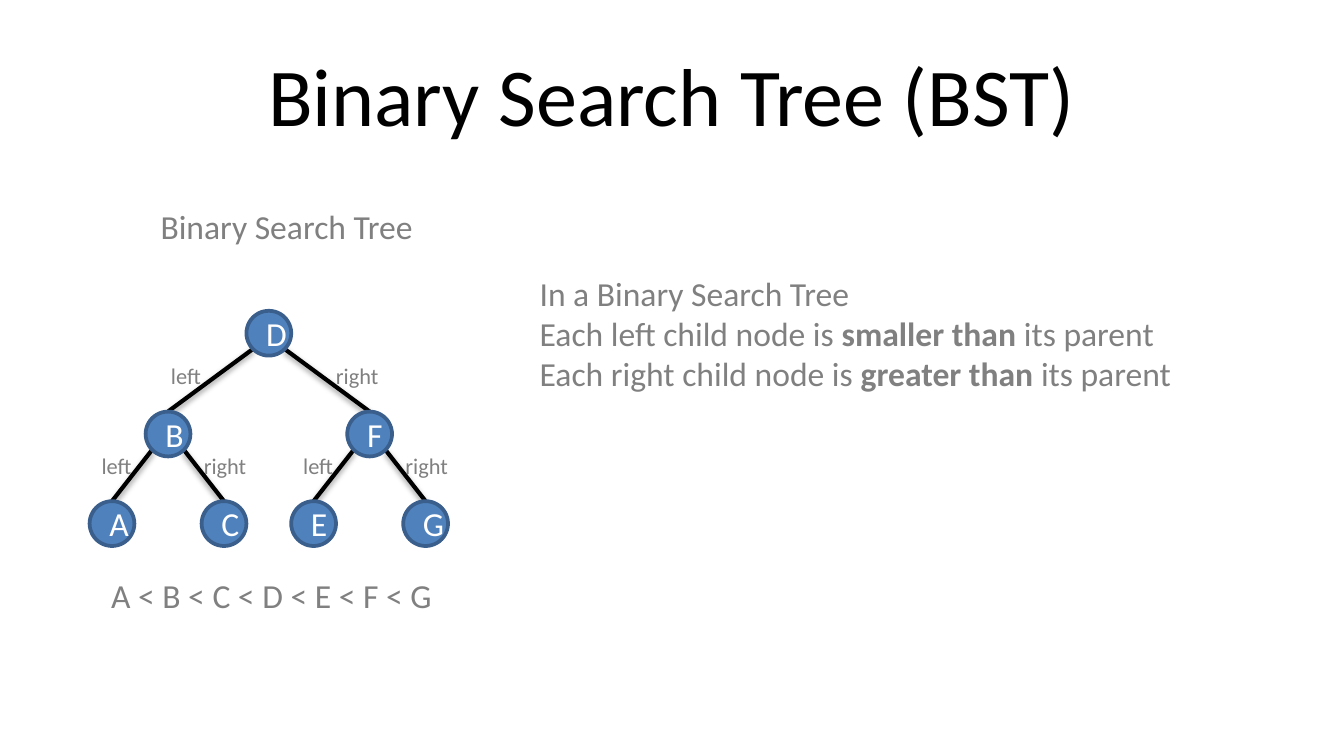
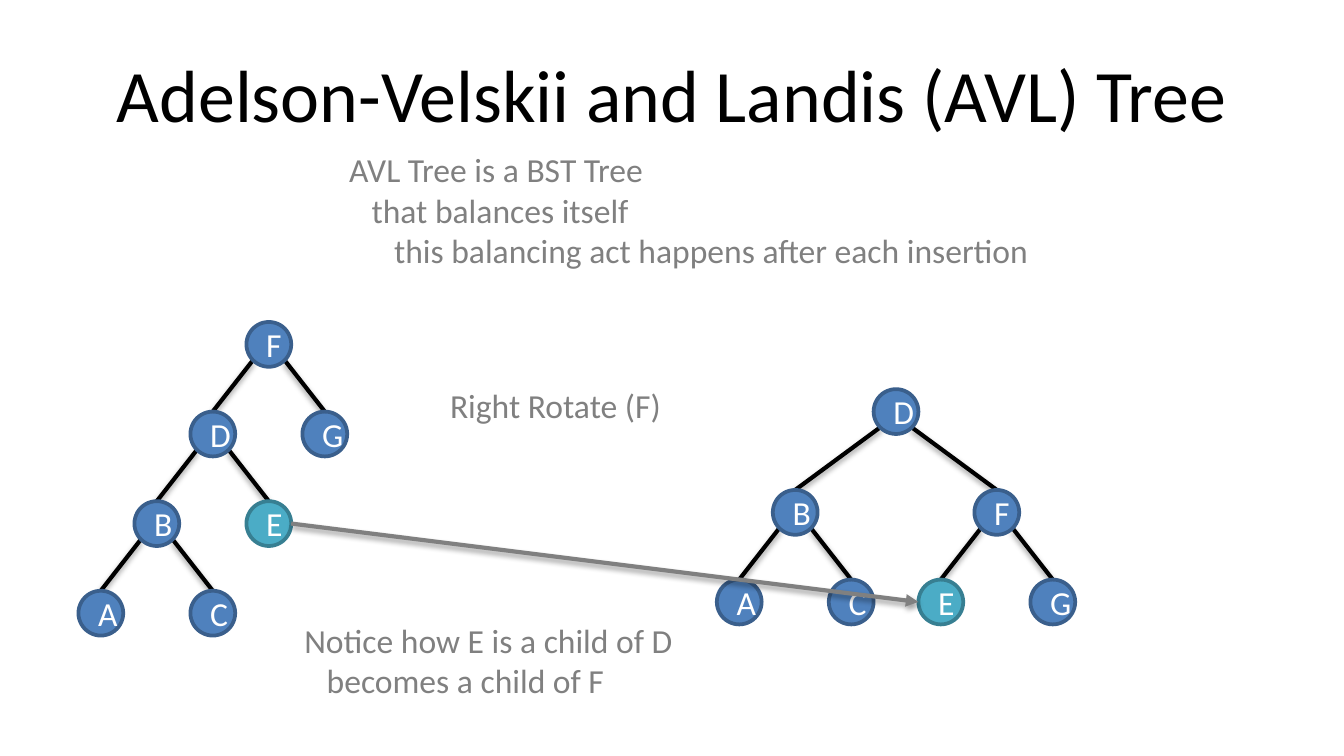
"""Build two slides on binary search trees and AVL trees."""
import lxml.etree
import pptx
import pptx.dml.color
import pptx.enum.shapes
import pptx.enum.text
import pptx.oxml
import pptx.oxml.ns
import pptx.util

COLUMNS, ROWS = 120, 67.5
CELL = pptx.util.Inches(10) / COLUMNS
POINTS_PER_CELL = 6
NODE = 4
DIAGONAL = 1.41
WIDE, NARROW = (9, 9), (5, 8)
FONT = "Calibri"
COLORS = {
    "title": "000000", "edge": "000000", "note": "808080", "letter": "FFFFFF",
    "node": "4F81BD", "node_line": "3A5F8C",
    "moved": "4BACC6", "moved_line": "377F92",
}
SHADOW = (
    '<a:effectLst xmlns:a="http://schemas.openxmlformats.org/drawingml/2006/main">'
    '<a:outerShdw blurRad="40000" dist="20000" dir="5400000" rotWithShape="0">'
    '<a:srgbClr val="000000"><a:alpha val="38000"/></a:srgbClr>'
    "</a:outerShdw></a:effectLst>"
)
ALIGN = pptx.enum.text.PP_ALIGN
BALANCED = {"D": ("B", "F", WIDE), "B": ("A", "C", NARROW), "F": ("E", "G", NARROW)}
LEANING = {"F": ("D", "G", NARROW), "D": ("B", "E", NARROW), "B": ("A", "C", NARROW)}


def cells(count):
    """Turn a count of grid cells into a length."""
    return pptx.util.Emu(round(count * CELL))


def color(name):
    """Look up a named colour."""
    return pptx.dml.color.RGBColor.from_string(COLORS[name])


class TreeDeck:
    """Hold the style and the current slide, and draw each kind of element."""

    def __init__(self):
        """Start an empty presentation on the grid."""
        self.presentation = pptx.Presentation()
        self.presentation.slide_width = cells(COLUMNS)
        self.presentation.slide_height = cells(ROWS)
        self.slide = None

    def add_slide(self, title, size):
        """Start a slide with a centred title."""
        layout = self.presentation.slide_layouts[6]
        self.slide = self.presentation.slides.add_slide(layout)
        shape = self.slide.shapes.add_textbox(*map(cells, (6, 2.7, 108, 11.25)))
        frame = shape.text_frame
        frame.word_wrap = True
        frame.vertical_anchor = pptx.enum.text.MSO_ANCHOR.MIDDLE
        frame.text = title
        self.style(frame.paragraphs[0], size, "title", ALIGN.CENTER)

    def style(self, paragraph, size, color_name, align):
        """Format a paragraph and its runs."""
        paragraph.alignment = align
        for run in paragraph.runs:
            run.font.name = FONT
            run.font.size = pptx.util.Pt(size)
            run.font.color.rgb = color(color_name)

    def note(self, column, row, width, lines, size=18, align=ALIGN.LEFT, step=0):
        """Write grey lines, each indented by one more step; ** marks bold."""
        height = 1.2 + len(lines) * size / POINTS_PER_CELL * 1.22
        shape = self.slide.shapes.add_textbox(*map(cells, (column, row, width, height)))
        frame = shape.text_frame
        frame.word_wrap = False
        frame.auto_size = pptx.enum.text.MSO_AUTO_SIZE.SHAPE_TO_FIT_TEXT
        for index, line in enumerate(lines):
            paragraph = frame.add_paragraph() if index else frame.paragraphs[0]
            for part, text in enumerate(line.split("**")):
                run = paragraph.add_run()
                run.text = text
                run.font.bold = part % 2 == 1
            self.style(paragraph, size, "note", align)
            if index and step:
                properties = paragraph._p.get_or_add_pPr()
                properties.set("marL", str(cells(index * step)))
                properties.set("indent", "0")

    def line(self, start, end, color_name="edge", arrow=False):
        """Draw a shadowed line between two grid points."""
        straight = pptx.enum.shapes.MSO_CONNECTOR.STRAIGHT
        connector = self.slide.shapes.add_connector(straight, *map(cells, start + end))
        connector.line.color.rgb = color(color_name)
        connector.line.width = pptx.util.Pt(2.25)
        if arrow:
            line = connector.line._get_or_add_ln()
            tail = lxml.etree.SubElement(line, pptx.oxml.ns.qn("a:tailEnd"))
            tail.set("type", "triangle")
        connector._element.spPr.append(pptx.oxml.parse_xml(SHADOW))
        return connector

    def node(self, letter, column, row, kind):
        """Draw one lettered tree node."""
        oval = pptx.enum.shapes.MSO_SHAPE.OVAL
        shape = self.slide.shapes.add_shape(oval, *map(cells, (column, row, NODE, NODE)))
        shape.shadow.inherit = False
        shape.fill.solid()
        shape.fill.fore_color.rgb = color(kind)
        shape.line.color.rgb = color(kind + "_line")
        shape.line.width = pptx.util.Pt(2)
        shape.text_frame.text = letter
        self.style(shape.text_frame.paragraphs[0], 18, "letter", ALIGN.CENTER)
        return shape

    def tree(self, root, column, row, branches, moved=""):
        """Draw a tree, edges below nodes, and return the node places."""
        places = {root: (column, row)}
        edges = {}
        for parent, (left, right, (across, down)) in branches.items():
            column, row = places[parent]
            for child, side in ((left, -1), (right, 1)):
                places[child] = (column + side * across, row + down)
                top = (places[child][0] + NODE / 2, places[child][1])
                corner = (column + NODE / 2 + side * DIAGONAL, row + NODE / 2 + DIAGONAL)
                edges[child] = self.line(top, corner)
        for letter, place in places.items():
            shape = self.node(letter, *place, "moved" if letter == moved else "node")
            if letter in edges:
                edges[letter].begin_connect(shape, 0)
        return places

    def branch_labels(self, places, branches):
        """Name the left and right branch of every parent."""
        left_width, right_width = 5.2, 6.2
        for parent, (_, _, (across, down)) in branches.items():
            column, row = places[parent]
            gap = (across - NARROW[0]) * 0.7
            level = row + down - 5
            self.note(column - gap - left_width, level, left_width, ["left"], 12, ALIGN.CENTER)
            self.note(column + NODE + gap, level, right_width, ["right"], 12, ALIGN.CENTER)


def search_tree_slide(deck):
    """Show what orders a binary search tree."""
    deck.add_slide("Binary Search Tree (BST)", 44)
    places = deck.tree("D", 22, 27.75, BALANCED)
    deck.note(13, 17.75, 25.2, ["Binary Search Tree"], align=ALIGN.CENTER)
    deck.branch_labels(places, BALANCED)
    deck.note(47, 23.75, 59.2, [
        "In a Binary Search Tree",
        "Each left child node is **smaller than **its parent",
        "Each right child node is **greater than **its parent",
    ])
    deck.note(8.5, 50.75, 31.5, [" < ".join("ABCDEFG")], align=ALIGN.CENTER)


def rotation_slide(deck):
    """Show how a right rotation balances an AVL tree."""
    deck.add_slide("Adelson-Velskii and Landis (AVL) Tree", 39.6)
    before = deck.tree("F", 22, 28.75, LEANING, moved="E")
    deck.note(30, 12.75, 64, [
        "AVL Tree is a BST Tree",
        "that balances itself",
        "this balancing act happens after each insertion",
    ], step=2)
    after = deck.tree("D", 78, 34.75, BALANCED, moved="E")
    deck.note(39, 33.75, 21.5, ["Right Rotate (F)"])
    start = (before["E"][0] + NODE, before["E"][1] + NODE / 2)
    end = (after["E"][0], after["E"][1] + NODE / 2)
    deck.line(start, end, "note", arrow=True)
    deck.note(26, 54.75, 36.5, [
        "Notice how E is a child of D",
        "becomes a child of F",
    ], step=2)


def main():
    """Build and save the presentation."""
    deck = TreeDeck()
    search_tree_slide(deck)
    rotation_slide(deck)
    deck.presentation.save("out.pptx")


if __name__ == "__main__":
    main()
